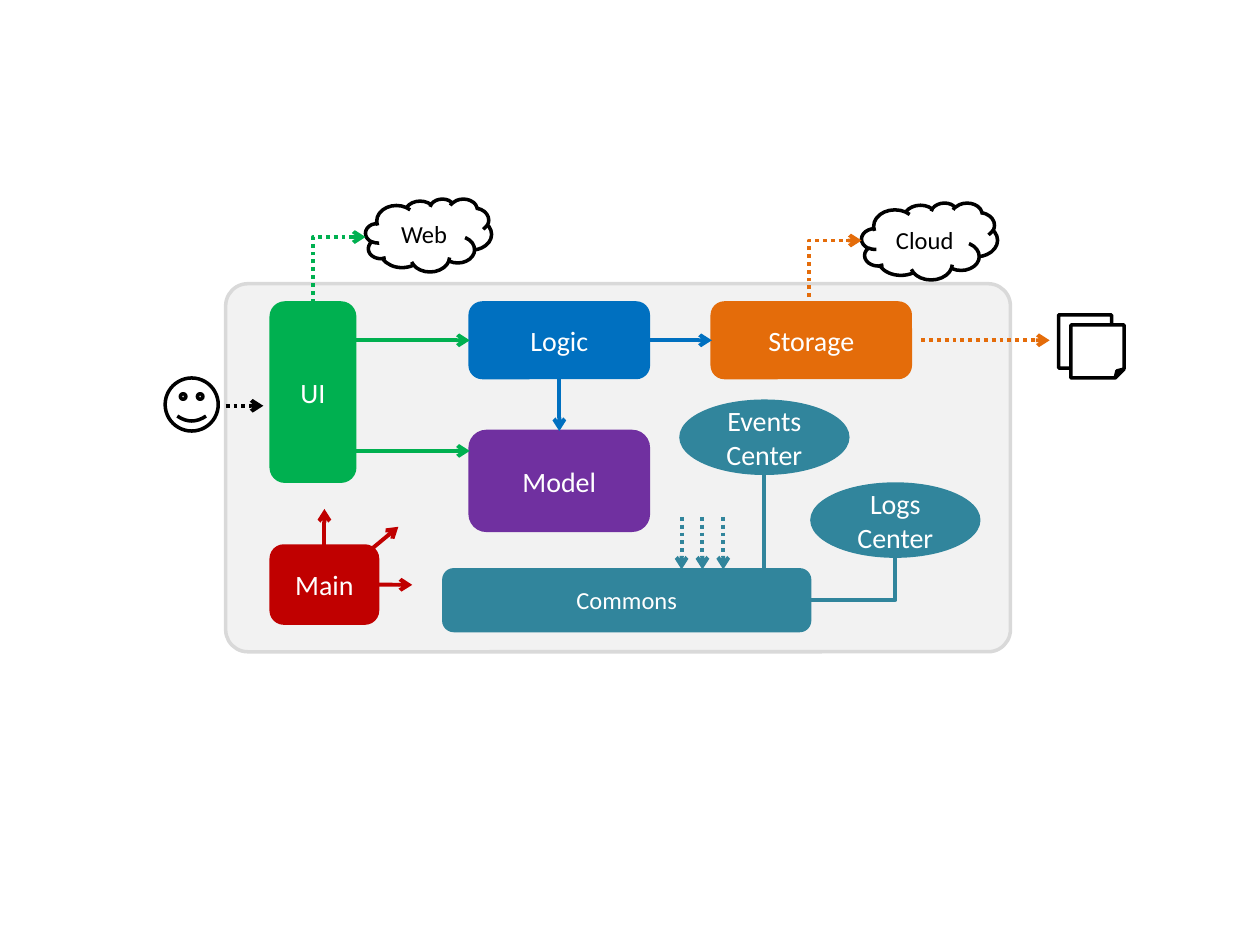
from lxml.etree import SubElement
from pptx import Presentation
from pptx.dml.color import RGBColor
from pptx.enum.dml import MSO_LINE
from pptx.enum.shapes import MSO_CONNECTOR, MSO_SHAPE
from pptx.enum.text import MSO_ANCHOR, PP_ALIGN
from pptx.oxml.ns import qn
from pptx.util import Cm, Pt

THEME = {
    "colors": {
        "panel": "F2F2F2", "border": "D9D9D9", "white": "FFFFFF", "black": "000000",
        "ui": "00B050", "logic": "0070C0", "storage": "E46C0A", "model": "7030A0",
        "common": "31859C", "main": "C00000",
    },
    "font": "Calibri",
    "large": 16,
    "small": 14,
    "thin": 1.5,
    "outline": 2,
    "arrow": 2.25,
}

ROUND, OVAL, CLOUD = MSO_SHAPE.ROUNDED_RECTANGLE, MSO_SHAPE.OVAL, MSO_SHAPE.CLOUD
PAGE, FACE = MSO_SHAPE.FOLDED_CORNER, MSO_SHAPE.SMILEY_FACE

COMPONENTS = [
    ("UI", ROUND, (5.46, 6.1, 1.7, 3.61), "ui", "large"),
    ("Logic", ROUND, (9.47, 6.1, 3.61, 1.52), "logic", "large"),
    ("Storage", ROUND, (14.35, 6.1, 4.01, 1.52), "storage", "large"),
    ("Model", ROUND, (9.47, 8.69, 3.61, 2.01), "model", "large"),
    ("Commons", ROUND, (8.94, 11.48, 7.39, 1.24), "common", "small"),
    ("Main", ROUND, (5.46, 11, 2.16, 1.57), "main", "large"),
    ("Events Center", OVAL, (13.72, 8.08, 3.38, 1.47), "common", "large"),
    ("Logs\vCenter", OVAL, (16.36, 9.75, 3.38, 1.47), "common", "large"),
]
EXTERNALS = [
    ("", FACE, (3.33, 7.62, 1.07, 1.07)),
    ("", PAGE, (21.34, 6.35, 1.07, 1.07)),
    ("", PAGE, (21.59, 6.55, 1.07, 1.07)),
    ("Web", CLOUD, (7.37, 4.01, 2.54, 1.47)),
    ("Cloud", CLOUD, (17.37, 4.09, 2.74, 1.55)),
]

TOP, LEFT, BOTTOM, RIGHT = range(4)
SOLID, DOTTED = None, MSO_LINE.ROUND_DOT
STRAIGHT_LINES = [
    ((7.16, 6.86), ("Logic", LEFT), "ui", SOLID, True),
    ((7.16, 9.09), (9.47, 9.09), "ui", SOLID, True),
    (("Logic", BOTTOM), ("Model", TOP), "logic", SOLID, True),
    (("Logic", RIGHT), ("Storage", LEFT), "logic", SOLID, True),
    ((4.55, 8.18), (5.31, 8.18), "black", DOTTED, True),
    ((18.57, 6.86), (21.16, 6.86), "storage", DOTTED, True),
    (("Main", RIGHT), (8.31, 11.79), "main", SOLID, True),
    ((7.21, 11.3), (8.03, 10.62), "main", SOLID, True),
    (("Main", TOP), (6.54, 10.26), "main", SOLID, True),
    ((15.4, 9.55), (15.4, 11.48), "common", SOLID, False),
] + [
    ((13.74 + 0.42 * i, 10.42), (13.74 + 0.42 * i, 11.48), "common", DOTTED, True)
    for i in range(3)
]
ELBOWS = [
    ((6.31, 6.1), (7.37, 4.78), "ui", DOTTED, True),
    ((16.31, 6.15), (17.37, 4.85), "storage", DOTTED, True),
    ((18.05, 11.22), (16.33, 12.1), "common", SOLID, False),
]


def color(name):
    return RGBColor.from_string(THEME["colors"][name])


def apply_format(target, values):
    for name, value in values.items():
        setattr(target, name, value)


def add_box(s, text, kind, box, fill, line, width, text_color="white", size="large"):
    sp = s.shapes.add_shape(kind, *map(Cm, box))
    sp.shadow.inherit = False
    sp.fill.solid()
    sp.fill.fore_color.rgb = color(fill)
    sp.line.color.rgb = color(line)
    sp.line.width = Pt(THEME[width])
    if text:
        tf = sp.text_frame
        apply_format(tf, {"word_wrap": True, "vertical_anchor": MSO_ANCHOR.MIDDLE})
        p = tf.paragraphs[0]
        apply_format(p, {"text": text, "alignment": PP_ALIGN.CENTER})
        for r in p.runs:
            apply_format(r.font, {"name": THEME["font"], "size": Pt(THEME[size])})
            r.font.color.rgb = color(text_color)
    return sp


def style_line(cxn, name, dash, arrow):
    cxn.line.color.rgb = color(name)
    apply_format(cxn.line, {"width": Pt(THEME["arrow"]), "dash_style": dash})
    if arrow:
        SubElement(cxn.line._get_or_add_ln(), qn("a:tailEnd"), type="arrow")
    SubElement(cxn._element.spPr, qn("a:effectLst"))


def add_straight(s, boxes, start, end, *style):
    ends = [(0, 0) if point[0] in boxes else point for point in (start, end)]
    cxn = s.shapes.add_connector(
        MSO_CONNECTOR.STRAIGHT, *(Cm(v) for point in ends for v in point))
    for point, connect in ((start, cxn.begin_connect), (end, cxn.end_connect)):
        if point[0] in boxes:
            connect(boxes[point[0]], point[1])
    style_line(cxn, *style)


def add_elbow(s, start, end, *style):
    (x1, y1), (x2, y2) = start, end
    cx, cy = (x1 + x2) / 2, (y1 + y2) / 2
    dx, dy = (x2 - x1) / 2, (y2 - y1) / 2
    cxn = s.shapes.add_connector(
        MSO_CONNECTOR.ELBOW, *map(Cm, (cx - dy, cy + dx, cx + dy, cy - dx)))
    spPr = cxn._element.spPr
    spPr.find(qn("a:xfrm")).set("rot", "5400000")
    spPr.find(qn("a:prstGeom")).set("prst", "bentConnector2")
    style_line(cxn, *style)


def main():
    prs = Presentation()
    apply_format(prs, {"slide_width": Cm(25.4), "slide_height": Cm(19.05)})
    s = prs.slides.add_slide(prs.slide_layouts[6])

    panel = add_box(s, "", ROUND, (4.55, 5.72, 15.82, 7.42), "panel", "border", "outline")
    panel.adjustments[0] = 0.06

    boxes = {
        text: add_box(s, text, kind, box, fill, fill, "thin", size=size)
        for text, kind, box, fill, size in COMPONENTS
    }
    for text, kind, box in EXTERNALS:
        add_box(s, text, kind, box, "white", "black", "outline", "black", "small")
    for line in STRAIGHT_LINES:
        add_straight(s, boxes, *line)
    for line in ELBOWS:
        add_elbow(s, *line)

    prs.save("out.pptx")


if __name__ == "__main__":
    main()
